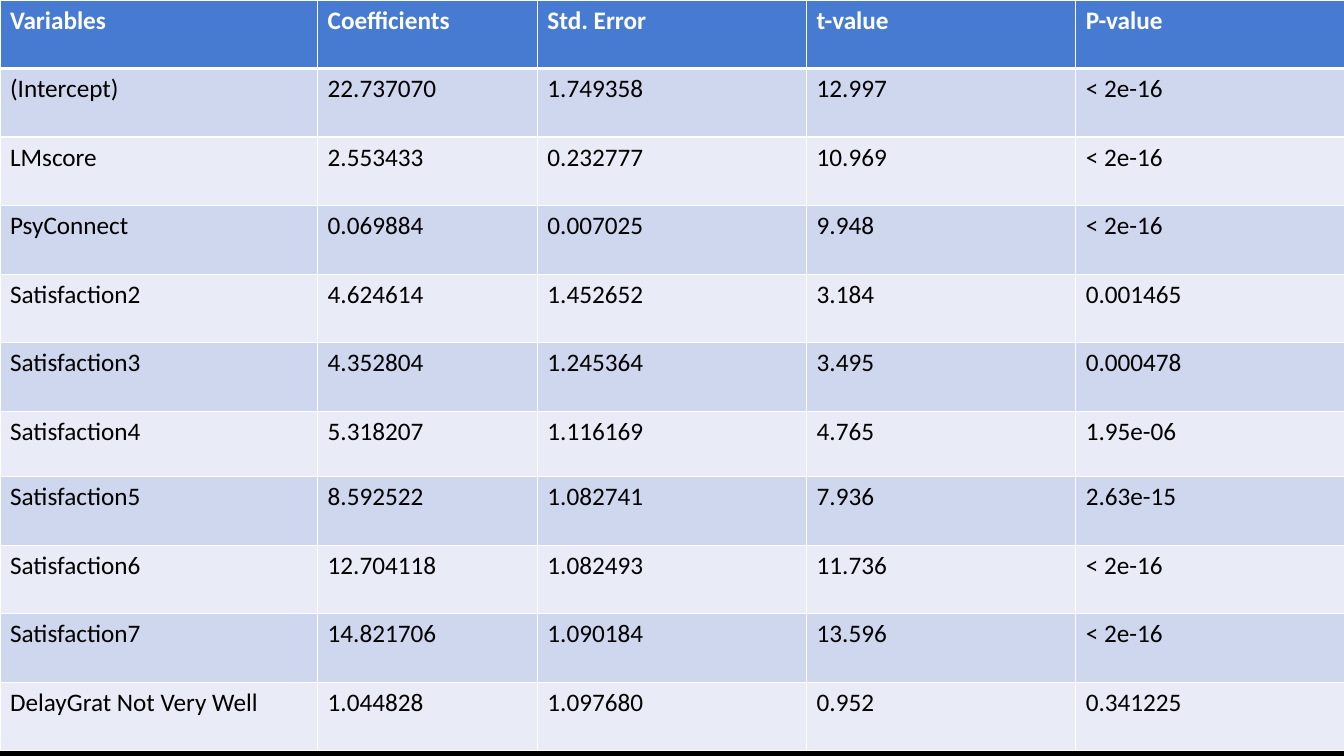
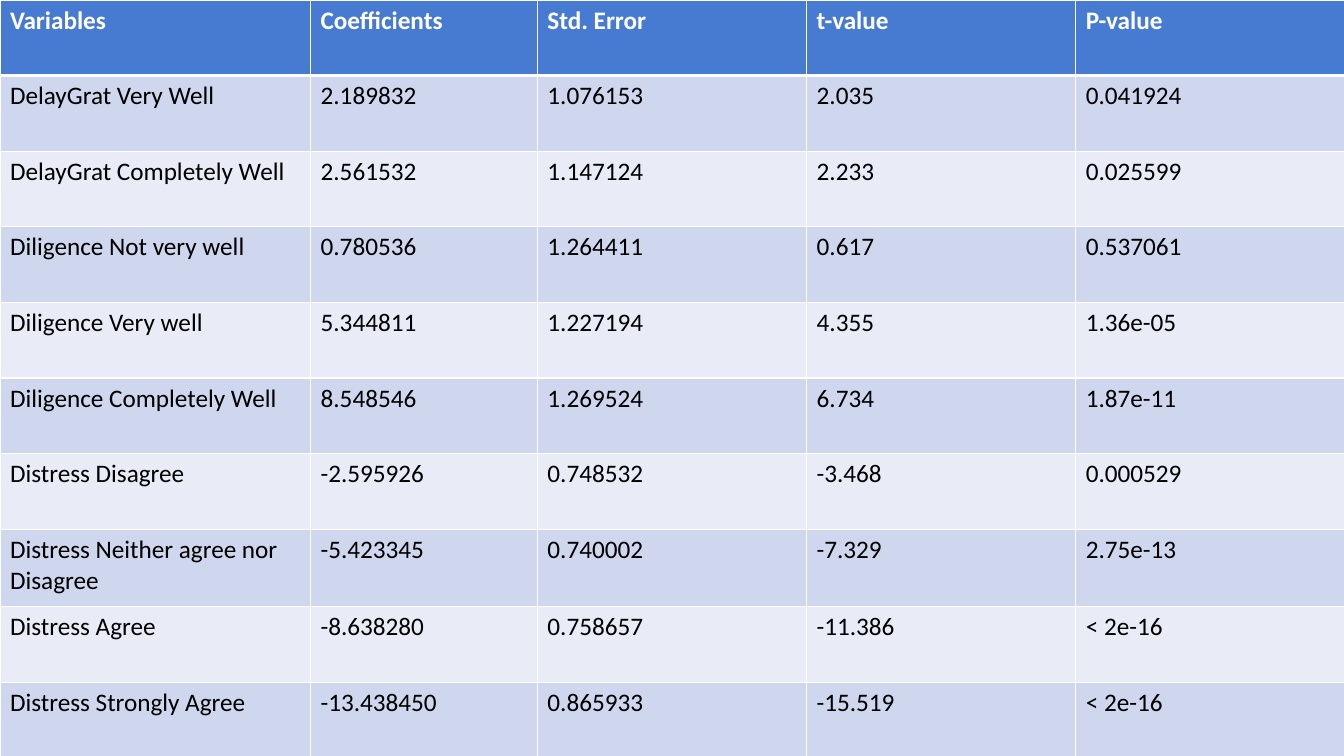
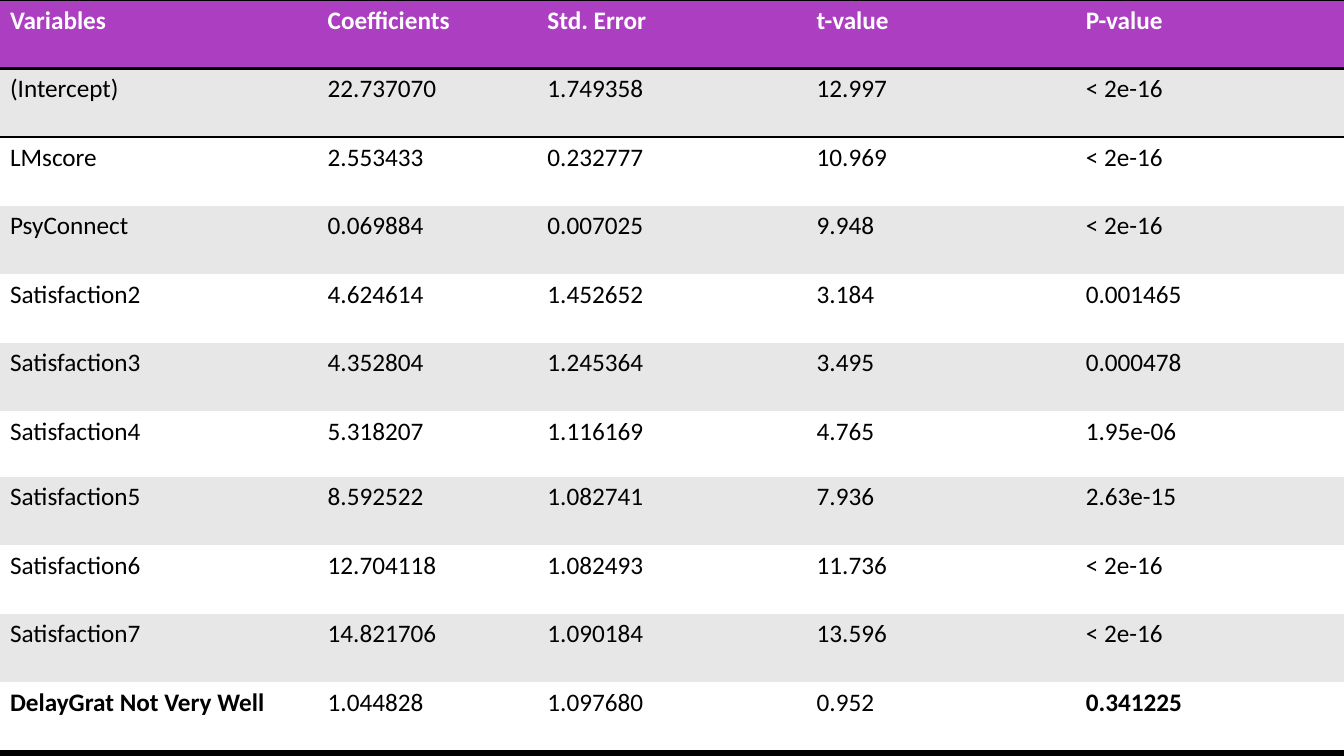
import pptx
import pptx.util
import pptx.dml.color
import lxml.etree
from pptx.oxml.ns import qn
from pptx.util import Inches

HUES = {"back": "000000", "text": "000000", "light": "FFFFFF",
        "blue": "477BD1", "dark": "CFD7EE", "pale": "E9ECF7",
        "plum": "AC3EC1", "gray": "E7E7E7"}
FONT, SIZE = "Calibri", 18
NO_STYLE = "{2D5ABB26-0587-4C30-8999-92F81FD0307C}"

HEAD = ("Variables", "Coefficients", "Std. Error", "t-value", "P-value")
SCORES = [
    ("(Intercept)", "22.737070", "1.749358", "12.997", "< 2e-16"),
    ("LMscore", "2.553433", "0.232777", "10.969", "< 2e-16"),
    ("PsyConnect", "0.069884", "0.007025", "9.948", "< 2e-16"),
    ("Satisfaction2", "4.624614", "1.452652", "3.184", "0.001465"),
    ("Satisfaction3", "4.352804", "1.245364", "3.495", "0.000478"),
    ("Satisfaction4", "5.318207", "1.116169", "4.765", "1.95e-06"),
    ("Satisfaction5", "8.592522", "1.082741", "7.936", "2.63e-15"),
    ("Satisfaction6", "12.704118", "1.082493", "11.736", "< 2e-16"),
    ("Satisfaction7", "14.821706", "1.090184", "13.596", "< 2e-16"),
    ("DelayGrat Not Very Well", "1.044828", "1.097680", "0.952", "0.341225"),
]
TRAITS = [
    ("DelayGrat Very Well", "2.189832", "1.076153", "2.035", "0.041924"),
    ("DelayGrat Completely Well", "2.561532", "1.147124", "2.233", "0.025599"),
    ("Diligence Not very well", "0.780536", "1.264411", "0.617", "0.537061"),
    ("Diligence Very well", "5.344811", "1.227194", "4.355", "1.36e-05"),
    ("Diligence Completely Well", "8.548546", "1.269524", "6.734", "1.87e-11"),
    ("Distress Disagree", "-2.595926", "0.748532", "-3.468", "0.000529"),
    ("Distress Neither agree nor Disagree", "-5.423345", "0.740002", "-7.329",
     "2.75e-13"),
    ("Distress Agree", "-8.638280", "0.758657", "-11.386", "< 2e-16"),
    ("Distress Strongly Agree", "-13.438450", "0.865933", "-15.519",
     "< 2e-16"),
]

# Line widths in points: "rule" under the header, "ends" at top and bottom.
GRID = {"head": "blue", "bands": ("dark", "pale"), "line": "light",
        "ends": 1, "rule": 3, "inner": 1}
PLAIN = {"head": "plum", "bands": ("gray", "light"), "line": "text",
         "ends": 2, "rule": 2, "inner": 0}

# "odd" is the one row (number, height) that differs; "bold" lists body cells.
SLIDES = [
    {"rows": SCORES, "look": GRID, "first": 3.15, "high": 0.68,
     "odd": (6, 0.65), "bold": []},
    {"rows": TRAITS, "look": GRID, "first": 3.08, "high": 0.75,
     "odd": (7, 0.77), "bold": []},
    {"rows": SCORES, "look": PLAIN, "first": 3.15, "high": 0.68,
     "odd": (6, 0.65), "bold": [(10, 0), (10, 4)]},
]
WIDE, PAIR, REST = 13.33, 5.33, 2.67


def hue(name):
    return pptx.dml.color.RGBColor.from_string(HUES[name])


def border(cell, side, name, width):
    """Draw one cell edge; side is L, R, T or B."""
    if not width:
        return
    props = cell._tc.get_or_add_tcPr()
    line = lxml.etree.SubElement(props, qn("a:ln" + side),
                                 w=str(pptx.util.Pt(width)))
    fill = lxml.etree.SubElement(line, qn("a:solidFill"))
    lxml.etree.SubElement(fill, qn("a:srgbClr"), val=HUES[name])


def weight(look, edge, last):
    """Width of the horizontal line above row number edge."""
    if edge in (0, last):
        return look["ends"]
    return look["rule"] if edge == 1 else look["inner"]


def style(cell, row, last, look, bold):
    for side, width in (("L", look["inner"]), ("R", look["inner"]),
                        ("T", weight(look, row, last)),
                        ("B", weight(look, row + 1, last))):
        border(cell, side, look["line"], width)
    cell.fill.solid()
    band = look["bands"][(row - 1) % 2] if row else look["head"]
    cell.fill.fore_color.rgb = hue(band)
    font = cell.text_frame.paragraphs[0].font
    font.name, font.size = FONT, pptx.util.Pt(SIZE)
    font.bold = bold or row == 0
    font.color.rgb = hue("text" if row else "light")


def build(deck, data):
    slide = deck.slides.add_slide(deck.slide_layouts[6])
    slide.background.fill.solid()
    slide.background.fill.fore_color.rgb = hue("back")
    rows = [HEAD] + data["rows"]
    last = len(rows)
    highs = [data["high"]] * last
    spot, high = data["odd"]
    highs[spot] = high
    frame = slide.shapes.add_table(last, len(HEAD), 0, 0, Inches(WIDE),
                                   Inches(sum(highs)))
    next(frame._element.iter(qn("a:tableStyleId"))).text = NO_STYLE
    table = frame.table
    wides = [data["first"], PAIR - data["first"]] + [REST] * 3
    for col, wide in zip(table.columns, wides):
        col.width = Inches(wide)
    for r, (texts, high) in enumerate(zip(rows, highs)):
        table.rows[r].height = Inches(high)
        for c, text in enumerate(texts):
            cell = table.cell(r, c)
            cell.text = text
            style(cell, r, last, data["look"], (r, c) in data["bold"])


def main():
    deck = pptx.Presentation()
    deck.slide_width, deck.slide_height = Inches(WIDE), Inches(7.5)
    for data in SLIDES:
        build(deck, data)
    deck.save("out.pptx")


if __name__ == "__main__":
    main()
